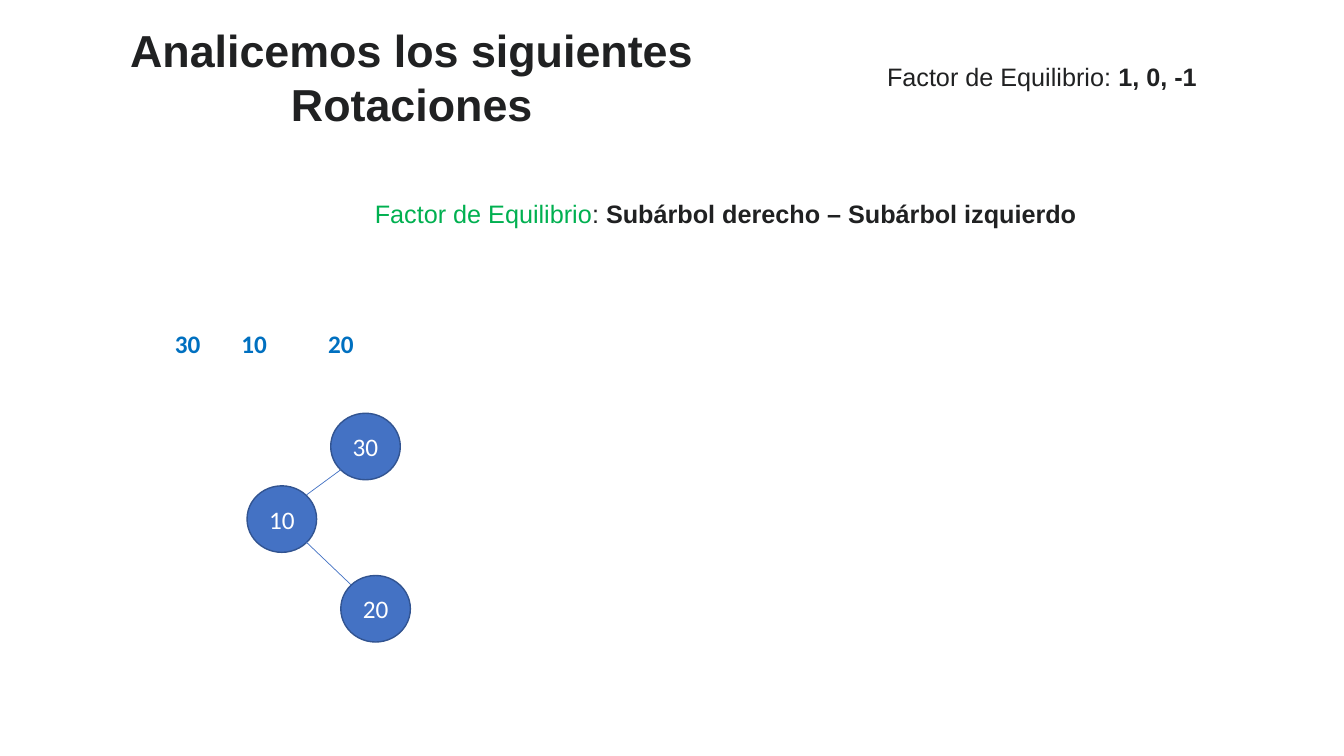
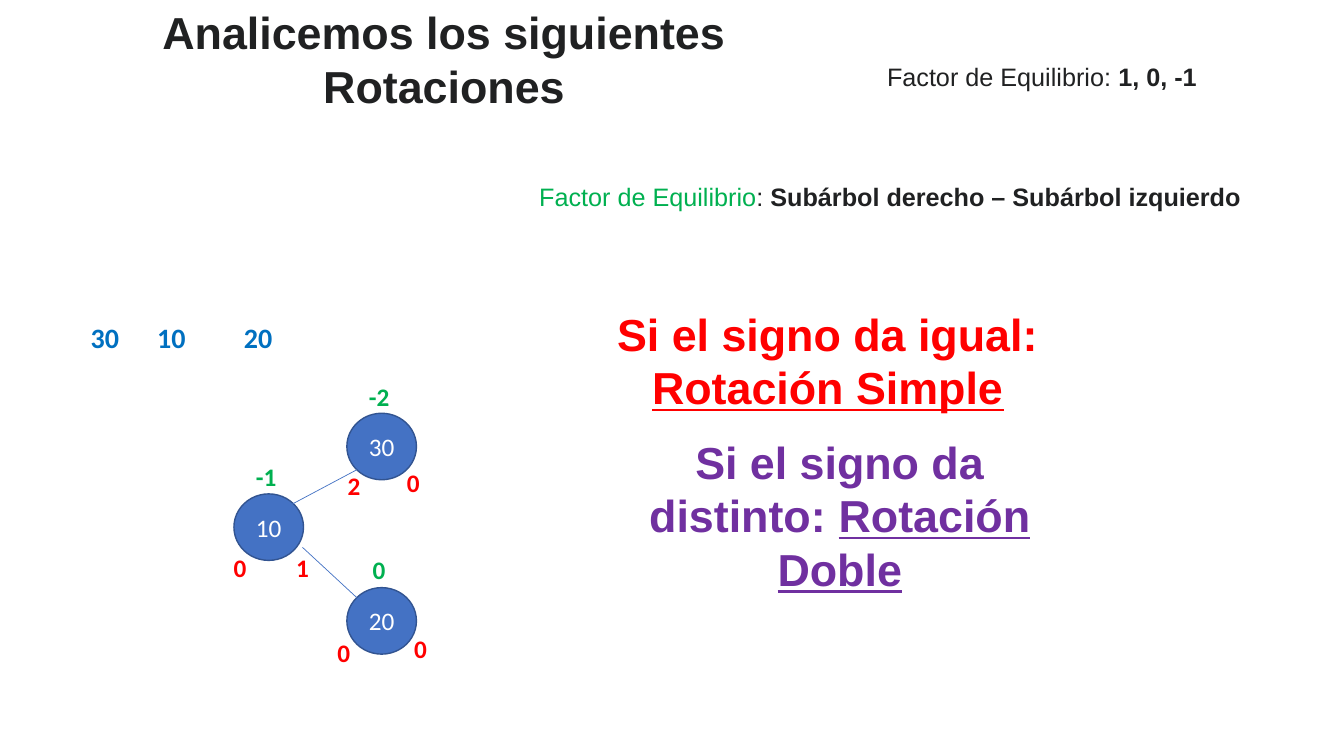
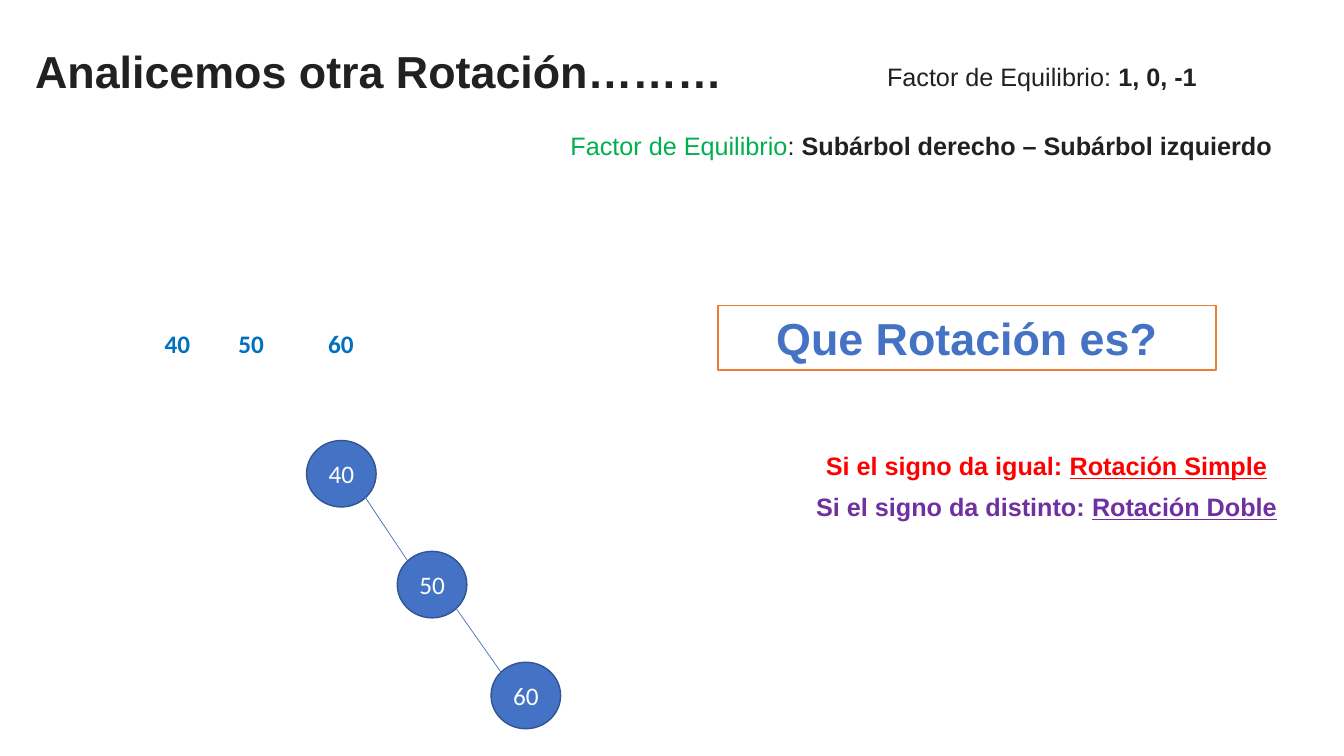
from lxml import etree
from pptx import Presentation
from pptx.dml.color import RGBColor
from pptx.enum.shapes import MSO_CONNECTOR, MSO_SHAPE
from pptx.enum.text import MSO_ANCHOR, MSO_AUTO_SIZE, PP_ALIGN
from pptx.oxml.ns import qn
from pptx.util import Pt

PX = 9144  # EMU; 100 px to the inch
BLANK_LAYOUT = 6

WHITE = RGBColor(0xFF, 0xFF, 0xFF)
INK = RGBColor(0x20, 0x21, 0x22)
BLUE = RGBColor(0x44, 0x72, 0xC4)
DARK_BLUE = RGBColor(0x32, 0x54, 0x91)
KEY_BLUE = RGBColor(0x00, 0x70, 0xC0)
GREEN = RGBColor(0x00, 0xB0, 0x50)
RED = RGBColor(0xFF, 0x00, 0x00)
PURPLE = RGBColor(0x70, 0x30, 0xA0)
ORANGE = RGBColor(0xED, 0x7D, 0x31)

LEFT, CENTER = PP_ALIGN.LEFT, PP_ALIGN.CENTER
TOP, MIDDLE = MSO_ANCHOR.TOP, MSO_ANCHOR.MIDDLE
FIT_TEXT = MSO_AUTO_SIZE.SHAPE_TO_FIT_TEXT
OVAL, RECTANGLE = MSO_SHAPE.OVAL, MSO_SHAPE.RECTANGLE
STRAIGHT = MSO_CONNECTOR.STRAIGHT

HEADING_FONT, NUMBER_FONT = "Arial", "Calibri"
NODE_WIDTH, NODE_HEIGHT = 69, 66
LABEL_WIDTH, LINE_HEIGHT = 48, 40

EQUAL_SIGNS = ("Si el signo da igual: ", "Rotación Simple", RED)
DIFFERENT_SIGNS = ("Si el signo da distinto: ", "Rotación Doble", PURPLE)


def px(*lengths):
    return [length * PX for length in lengths]


class Deck:
    def __init__(self):
        self.presentation = Presentation()
        self.presentation.slide_width, self.presentation.slide_height = px(1333, 750)
        self.slide = None

    def new_slide(self, title, title_box, formula_box):
        """Start a slide with its title and the two balance factor lines."""
        layout = self.presentation.slide_layouts[BLANK_LAYOUT]
        self.slide = self.presentation.slides.add_slide(layout)
        self.text(title_box, [(title, {})], size=32, bold=True)
        self.text((870, 56, 333, LINE_HEIGHT),
                  [("Factor de Equilibrio: ", {}), ("1, 0, -1", {"bold": True})],
                  align=LEFT)
        self.text(formula_box,
                  [("Factor de Equilibrio", {"color": GREEN}), (": ", {}),
                   ("Subárbol derecho – Subárbol izquierdo", {"bold": True})],
                  align=LEFT)

    def fill_text(self, shape, runs, size=18, font=HEADING_FONT, color=INK,
                  bold=False, align=CENTER, anchor=TOP):
        """Fill a shape with one paragraph of (text, differences) runs."""
        frame = shape.text_frame
        frame.word_wrap = True
        frame.vertical_anchor = anchor
        paragraph = frame.paragraphs[0]
        paragraph.alignment = align
        paragraph.font.name = font
        paragraph.font.size = Pt(size)
        paragraph.font.bold = bold
        paragraph.font.color.rgb = color
        for text, differences in runs:
            run = paragraph.add_run()
            run.text = text
            if "color" in differences:
                run.font.color.rgb = differences["color"]
            if "bold" in differences:
                run.font.bold = differences["bold"]
            if "underline" in differences:
                run.font.underline = differences["underline"]

    def text(self, box, runs, **style):
        shape = self.slide.shapes.add_textbox(*px(*box))
        self.fill_text(shape, runs, **style)
        shape.text_frame.auto_size = FIT_TEXT

    def rule(self, box, sign_rule, size):
        """State which rotation follows from the signs."""
        condition, rotation, color = sign_rule
        self.text(box, [(condition, {}), (rotation, {"underline": True})],
                  size=size, color=color, bold=True)

    def labels(self, color, entries, size=18):
        """Place bold numbers given as (text, left, top)."""
        for text, left, top in entries:
            self.text((left, top, LABEL_WIDTH, LINE_HEIGHT), [(text, {})],
                      size=size, font=NUMBER_FONT, color=color, bold=True)

    def shape(self, kind, box, fill, line):
        shape = self.slide.shapes.add_shape(kind, *px(*box))
        shape.shadow.inherit = False
        shape.fill.solid()
        shape.fill.fore_color.rgb = fill
        shape.line.color.rgb = line
        shape.line.width = Pt(1)
        return shape

    def question(self, box, text):
        shape = self.shape(RECTANGLE, box, WHITE, ORANGE)
        self.fill_text(shape, [(text, {})], size=32, color=BLUE, bold=True)
        shape.text_frame.auto_size = FIT_TEXT

    def edge(self, *ends):
        connector = self.slide.shapes.add_connector(STRAIGHT, *px(*ends))
        connector.line.color.rgb = BLUE
        connector.line.width = Pt(0.5)
        properties = connector._element.spPr
        etree.SubElement(properties, qn("a:effectLst"))

    def tree(self, nodes, edges):
        """Draw nodes given as (key, left, top) and edges given by their ends."""
        for key, left, top in nodes:
            node = self.shape(OVAL, (left, top, NODE_WIDTH, NODE_HEIGHT), BLUE, DARK_BLUE)
            self.fill_text(node, [(key, {})], font=NUMBER_FONT, color=WHITE, anchor=MIDDLE)
        for ends in edges:
            self.edge(*ends)


def insertion_slide(deck):
    deck.new_slide("Analicemos los siguientes Rotaciones",
                   (32, 18, 753, 118), (362, 192, 753, LINE_HEIGHT))
    deck.labels(KEY_BLUE, [("30", 162, 321), ("10", 228, 321), ("20", 314, 321)])
    deck.tree([("30", 328, 410), ("10", 245, 482), ("20", 338, 571)],
              [(338, 466, 304, 491), (304, 538, 348, 580)])


def balance_slide(deck):
    deck.new_slide("Analicemos los siguientes Rotaciones",
                   (29, 0, 823, 118), (525, 175, 764, LINE_HEIGHT))
    deck.labels(KEY_BLUE, [("30", 80, 313), ("10", 146, 313), ("20", 232, 313)], size=20)
    deck.tree([("30", 344, 410), ("10", 232, 490), ("20", 344, 583)],
              [(354, 466, 290, 500), (300, 543, 354, 593)])
    deck.labels(GREEN, [("-2", 352, 373), ("-1", 240, 453), ("0", 352, 545)])
    deck.labels(RED, [("2", 327, 462), ("0", 386, 459), ("0", 214, 543),
                      ("1", 276, 543), ("0", 317, 627), ("0", 393, 623)])
    deck.rule((574, 299, 494, 118), EQUAL_SIGNS, 32)
    deck.rule((586, 426, 494, 118), DIFFERENT_SIGNS, 32)


def question_slide(deck):
    deck.new_slide("Analicemos otra Rotación………",
                   (0, 38, 752, 64), (556, 124, 764, LINE_HEIGHT))
    deck.labels(KEY_BLUE, [("40", 152, 321), ("50", 225, 321), ("60", 314, 321)])
    deck.tree([("40", 304, 437), ("50", 394, 547), ("60", 487, 657)],
              [(362, 493, 404, 556), (452, 603, 497, 667)])
    deck.question((712, 303, 494, 64), "Que Rotación es?")
    deck.rule((791, 442, 494, LINE_HEIGHT), EQUAL_SIGNS, 18)
    deck.rule((791, 483, 494, LINE_HEIGHT), DIFFERENT_SIGNS, 18)


def main():
    deck = Deck()
    insertion_slide(deck)
    balance_slide(deck)
    question_slide(deck)
    deck.presentation.save("out.pptx")


if __name__ == "__main__":
    main()
